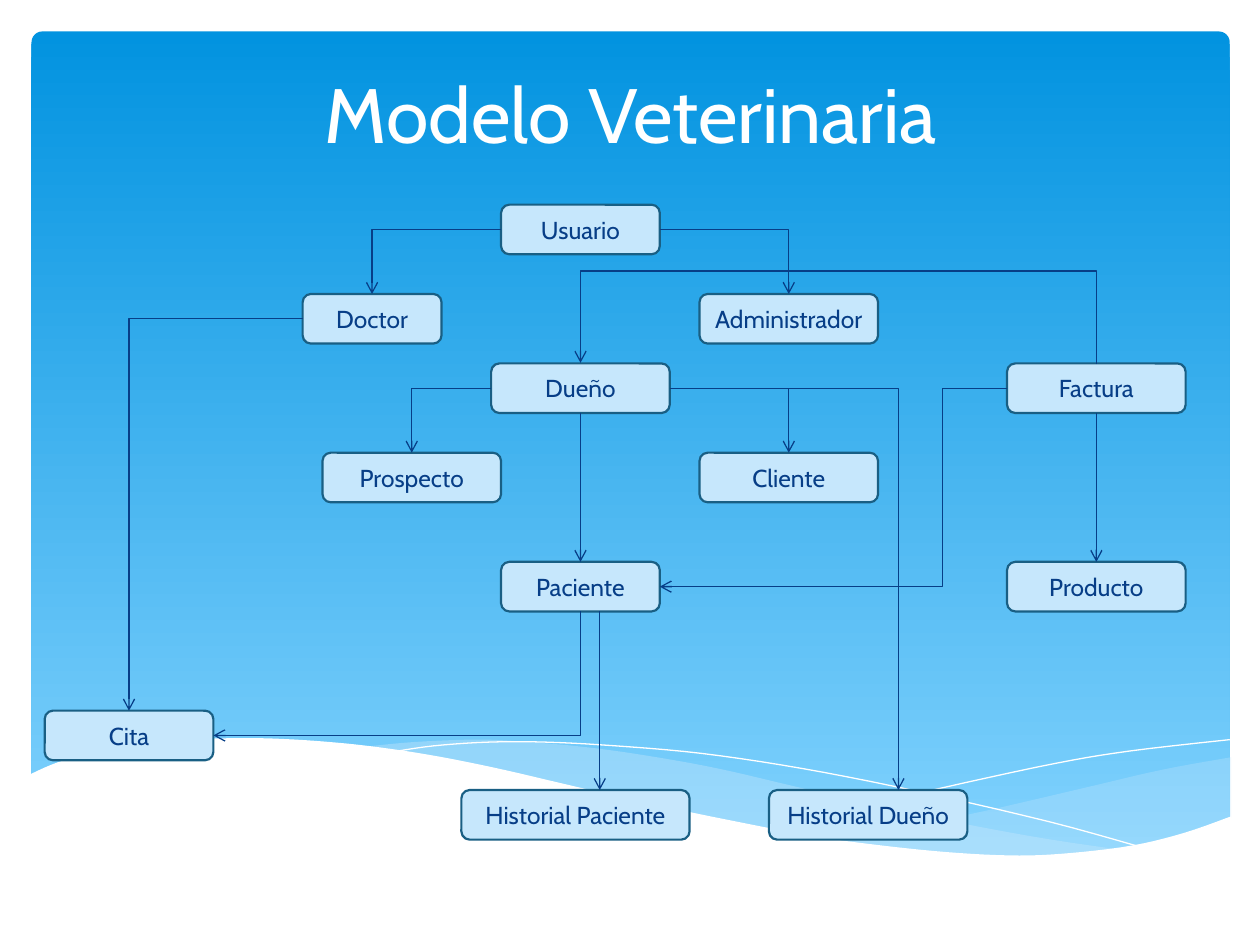
from dataclasses import dataclass

from lxml import etree
from pptx import Presentation
from pptx.dml.color import RGBColor
from pptx.enum.shapes import MSO_CONNECTOR, MSO_SHAPE
from pptx.enum.text import MSO_ANCHOR, PP_ALIGN
from pptx.oxml.ns import qn
from pptx.util import Inches, Pt

ROUNDED = MSO_SHAPE.ROUNDED_RECTANGLE
ELBOW, STRAIGHT = MSO_CONNECTOR.ELBOW, MSO_CONNECTOR.STRAIGHT
CENTER, MIDDLE, BOTTOM_ANCHOR = PP_ALIGN.CENTER, MSO_ANCHOR.MIDDLE, MSO_ANCHOR.BOTTOM
TOP, LEFT, BOTTOM, RIGHT = range(4)

SLIDE_W, SLIDE_H = 10, 7.5
CELL = SLIDE_W / 127
MARGIN_X, MARGIN_Y = 0.04, 0.05
BOX_ROWS = 5


@dataclass(frozen=True)
class Theme:
    font: str = "Cabin"
    title_size: float = 44
    box_size: float = 14
    white: str = "FFFFFF"
    pale: str = "C6E7FC"
    border: str = "195F84"
    ink: str = "073E87"
    sky_top: str = "0293E0"
    sky_bottom: str = "83D3FE"
    border_width: float = 1.25
    arrow_width: float = 0.75


THEME = Theme()

# name: column, row, width in columns
BOXES = {
    "Usuario": (50, 20, 16),
    "Doctor": (30, 29, 14),
    "Administrador": (70, 29, 18),
    "Dueño": (49, 36, 18),
    "Factura": (101, 36, 18),
    "Prospecto": (32, 45, 18),
    "Cliente": (70, 45, 18),
    "Paciente": (50, 56, 16),
    "Producto": (101, 56, 18),
    "Cita": (4, 71, 17),
    "Historial Paciente": (46, 79, 23),
    "Historial Dueño": (77, 79, 20),
}

STRAIGHT_LINKS = [("Dueño", "Paciente"), ("Factura", "Producto")]
CORNER_LINKS = [
    ("Usuario", LEFT, "Doctor"),
    ("Usuario", RIGHT, "Administrador"),
    ("Doctor", LEFT, "Cita"),
    ("Dueño", LEFT, "Prospecto"),
    ("Dueño", RIGHT, "Cliente"),
]

RIGHT_WAVE = [(9.77, 6.01), (9.22, 6.11), (8.62, 6.25), (7.8, 6.44), (7.07, 6.59), (6.62, 6.67)]
RIGHT_WAVE_BACK = [(6.62, 6.67), (7.06, 6.73), (7.58, 6.78), (8.15, 6.8), (8.64, 6.77),
                   (9.07, 6.71), (9.44, 6.61), (9.77, 6.49)]
LONG_WAVE = [(8.94, 6.75), (8.38, 6.67), (7.76, 6.56), (7.07, 6.42), (6.3, 6.24), (5.7, 6.1),
             (5.15, 6), (4.65, 5.93), (4.2, 5.89), (3.8, 5.87), (3.28, 5.89), (2.87, 5.93)]
LONG_WAVE_BACK = [(2.87, 5.93), (3.43, 6.01), (4.05, 6.13), (4.5, 6.24), (5.3, 6.42),
                  (6.02, 6.57), (6.66, 6.68), (7.23, 6.76), (7.74, 6.79), (8.19, 6.8),
                  (8.59, 6.79), (8.94, 6.75)]
FALLING_LINE = [(3.1, 5.97), (3.44, 5.92), (3.88, 5.89), (4.33, 5.89), (4.89, 5.92), (5.57, 5.98),
                (6.37, 6.1), (7.28, 6.28), (8.32, 6.52), (9.08, 6.73)]
RISING_LINE = [(6.14, 6.59), (6.73, 6.43), (7.49, 6.25), (8.37, 6.06), (8.97, 5.96), (9.76, 5.87)]
GROUND = [(9.77, 6.48), (9.4, 6.61), (8.99, 6.71), (8.5, 6.77), (8.09, 6.79), (7.61, 6.77),
          (7.08, 6.72), (6.48, 6.64), (5.79, 6.51), (5.03, 6.35), (4.47, 6.22), (3.91, 6.09),
          (3.4, 5.99), (2.92, 5.92), (2.5, 5.88), (2.11, 5.86), (1.77, 5.86), (1.46, 5.87),
          (1.06, 5.91), (0.76, 5.97), (0.46, 6.05), (0.23, 6.15)]
GROUND_FOOT = [(0.23, 7.31), (9.77, 7.31)]


def rgb(code):
    return RGBColor.from_string(code)


def set_all(obj, values):
    for name, value in values.items():
        setattr(obj, name, value)


def smooth(pts, steps=5):
    """Catmull-Rom samples through the given points."""
    ext = [pts[0], *pts, pts[-1]]
    out = [pts[0]]
    for a, b, c, d in zip(ext, ext[1:], ext[2:], ext[3:]):
        for i in range(1, steps + 1):
            t = i / steps
            out.append(tuple(
                (2 * q + (r - p) * t + (2 * p - 5 * q + 4 * r - s) * t ** 2
                 + (3 * q - p - 3 * r + s) * t ** 3) / 2
                for p, q, r, s in zip(a, b, c, d)))
    return out


def add_outline(slide, pts, fill=None, alpha=None):
    """A filled wave, or a white hairline when no fill is given."""
    pts = [(Inches(x), Inches(y)) for x, y in pts]
    fb = slide.shapes.build_freeform(*pts[0])
    fb.add_line_segments(pts[1:], close=fill is not None)
    sp = fb.convert_to_shape()
    sp.shadow.inherit = False
    if fill is None:
        sp.fill.background()
        sp.line.color.rgb = rgb(THEME.white)
        sp.line.width = 0
        return
    sp.fill.solid()
    sp.fill.fore_color.rgb = rgb(fill)
    sp.line.fill.background()
    if alpha:
        color = sp._element.spPr.find(qn("a:solidFill"))[0]
        etree.SubElement(color, qn("a:alpha"), val=str(alpha * 1000))


def add_background(slide):
    sky = slide.shapes.add_shape(ROUNDED, *map(Inches, (0.25, 0.25, 9.51, 6.6)))
    sky.adjustments[0] = 0.013
    sky.shadow.inherit = False
    sky.line.fill.background()
    sky.fill.gradient()
    sky.fill.gradient_angle = 270
    for stop, color, pos in zip(sky.fill.gradient_stops, (THEME.sky_top, THEME.sky_bottom), (0, 1)):
        set_all(stop, {"position": pos})
        stop.color.rgb = rgb(color)
    add_outline(slide, smooth(RIGHT_WAVE) + smooth(RIGHT_WAVE_BACK), THEME.pale, 29)
    add_outline(slide, smooth(LONG_WAVE) + smooth(LONG_WAVE_BACK), THEME.pale, 40)
    add_outline(slide, smooth(FALLING_LINE))
    add_outline(slide, smooth(RISING_LINE))
    add_outline(slide, smooth(GROUND) + GROUND_FOOT, THEME.white)


def write(sp, text, size, color, anchor):
    tf = sp.text_frame
    set_all(tf, {"word_wrap": True, "vertical_anchor": anchor})
    p = tf.paragraphs[0]
    p.alignment = CENTER
    r = p.add_run()
    r.text = text
    set_all(r.font, {"name": THEME.font, "size": Pt(size)})
    r.font.color.rgb = rgb(color)


def add_title(slide, text):
    sp = slide.shapes.add_textbox(*map(Inches, (0.51, 0.29, 0.9 * SLIDE_W, 1.02)))
    write(sp, text, THEME.title_size, THEME.white, BOTTOM_ANCHOR)


def add_box(slide, name, col, row, cols):
    at = (col * CELL + MARGIN_X, row * CELL + MARGIN_Y, cols * CELL, BOX_ROWS * CELL)
    sp = slide.shapes.add_shape(ROUNDED, *map(Inches, at))
    sp.shadow.inherit = False
    sp.fill.solid()
    sp.fill.fore_color.rgb = rgb(THEME.pale)
    sp.line.color.rgb = rgb(THEME.border)
    sp.line.width = Pt(THEME.border_width)
    write(sp, name, THEME.box_size, THEME.ink, MIDDLE)
    return sp


def side(sp, site):
    """Middle of a box's side."""
    x, y = sp.left + sp.width // 2, sp.top + sp.height // 2
    return {TOP: (x, sp.top), LEFT: (sp.left, y),
            BOTTOM: (x, sp.top + sp.height), RIGHT: (sp.left + sp.width, y)}[site]


def add_arrow(slide, kind, begin, end, preset=None, adj=None, arrow_at="tailEnd"):
    """begin and end are (box, side) or (None, point)."""
    pts = [side(sp, at) if sp else at for sp, at in (begin, end)]
    c = slide.shapes.add_connector(kind, *pts[0], *pts[1])
    for (sp, site), join in ((begin, c.begin_connect), (end, c.end_connect)):
        if sp:
            join(sp, site)
    c.line.color.rgb = rgb(THEME.ink)
    c.line.width = Pt(THEME.arrow_width)
    sp_pr = c._element.spPr
    etree.SubElement(sp_pr.find(qn("a:ln")), qn("a:" + arrow_at), type="arrow")
    etree.SubElement(sp_pr, qn("a:effectLst"))
    geom = sp_pr.find(qn("a:prstGeom"))
    if preset:
        geom.set("prst", preset)
    if adj is not None:
        guides = geom.find(qn("a:avLst"))
        etree.SubElement(guides, qn("a:gd"), name="adj1", fmla=f"val {round(adj * 100000)}")
    return c


def add_bridge(slide, start, end, rise):
    """Arrow that leaves one box's top, runs above and drops on another's top."""
    span, depth = side(start, TOP)[0] - side(end, TOP)[0], Inches(0.01)
    c = add_arrow(slide, ELBOW, (start, TOP), (end, TOP), adj=rise / 0.01)
    mid = side(end, TOP)[0] + span // 2
    set_all(c, {"left": mid - depth // 2, "top": start.top - span // 2,
                "width": depth, "height": span})
    xfrm = c._element.spPr.find(qn("a:xfrm"))
    xfrm.attrib.pop("flipH", None)
    xfrm.set("rot", str(270 * 60000))
    xfrm.set("flipV", "1")


def main():
    prs = Presentation()
    prs.slide_width, prs.slide_height = Inches(SLIDE_W), Inches(SLIDE_H)
    s = prs.slides.add_slide(prs.slide_layouts[6])
    add_background(s)
    add_title(s, "Modelo Veterinaria")
    box = {name: add_box(s, name, *place) for name, place in BOXES.items()}

    for a, b in STRAIGHT_LINKS:
        add_arrow(s, STRAIGHT, (box[a], BOTTOM), (box[b], TOP))
    for a, site, b in CORNER_LINKS:
        add_arrow(s, ELBOW, (box[a], site), (box[b], TOP), "bentConnector2")
    add_arrow(s, ELBOW, (box["Cita"], RIGHT), (box["Paciente"], BOTTOM), "bentConnector2",
              arrow_at="headEnd")
    add_arrow(s, ELBOW, (box["Factura"], LEFT), (box["Paciente"], RIGHT), adj=0.185)

    paciente_x, dueno_x = Inches(4.76), Inches(7.13)
    history_y = box["Historial Paciente"].top
    add_arrow(s, STRAIGHT, (None, (paciente_x, side(box["Paciente"], BOTTOM)[1])),
              (None, (paciente_x, history_y)))
    add_arrow(s, ELBOW, (box["Dueño"], RIGHT), (None, (dueno_x, history_y)), "bentConnector2")
    add_bridge(s, box["Factura"], box["Dueño"], 0.75)
    prs.save("out.pptx")


if __name__ == "__main__":
    main()
